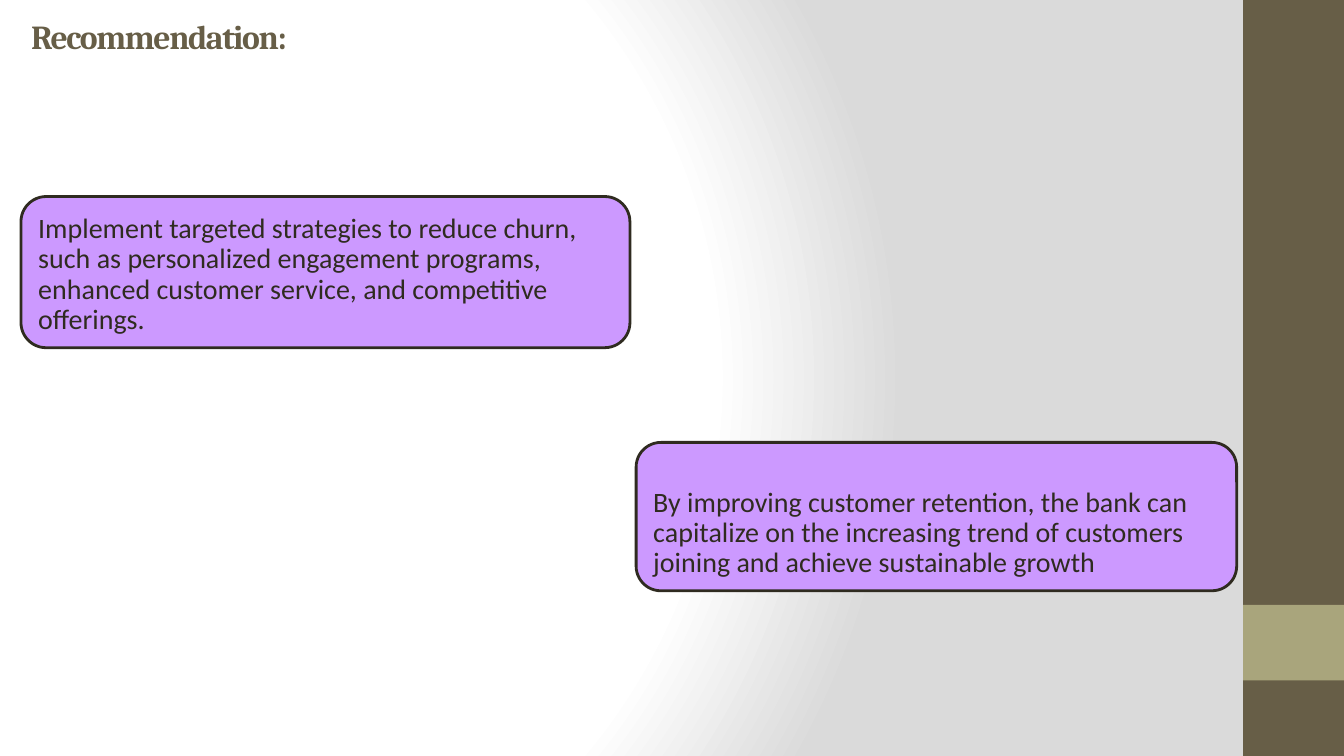
from dataclasses import dataclass

from lxml import etree
from pptx import Presentation
from pptx.dml.color import RGBColor
from pptx.enum.shapes import MSO_SHAPE
from pptx.enum.text import MSO_ANCHOR, MSO_AUTO_SIZE, PP_ALIGN
from pptx.oxml.ns import qn
from pptx.util import Pt

RECT, ROUNDED = MSO_SHAPE.RECTANGLE, MSO_SHAPE.ROUNDED_RECTANGLE
TOP, BOTTOM = MSO_ANCHOR.TOP, MSO_ANCHOR.BOTTOM
LEFT, NO_FIT = PP_ALIGN.LEFT, MSO_AUTO_SIZE.NONE
TITLE_ONLY = 5
WIDTH, HEIGHT = 960, 540
SIDEBAR_WIDTH = 72


@dataclass(frozen=True)
class Theme:
    brown: str = "675E47"
    olive: str = "A9A57C"
    lilac: str = "CC99FF"
    ink: str = "2F2B20"
    glow: tuple = ((0, "FFFFFF"), (75, "FFFFFF"), (100, "DADADA"))
    title_font: str = "Cambria"
    body_font: str = "Calibri"
    title_size: int = 24
    body_size: int = 20


class Deck:
    def __init__(self, slide, theme):
        self.slide, self.theme = slide, theme

    def background(self):
        """Fill the slide with a circular gradient centred left of the middle."""
        self.slide.background.fill.gradient()
        grad = next(self.slide.element.iter(qn("a:gradFill")))
        for child in list(grad):
            grad.remove(child)
        stops = etree.SubElement(grad, qn("a:gsLst"))
        for pos, color in self.theme.glow:
            stop = etree.SubElement(stops, qn("a:gs"), pos=str(pos * 1000))
            etree.SubElement(stop, qn("a:srgbClr"), val=color)
        circle = etree.SubElement(grad, qn("a:path"), path="circle")
        etree.SubElement(circle, qn("a:fillToRect"),
                         l="20000", t="50000", r="100000", b="50000")

    def shape(self, kind, box, fill, line=None):
        sp = self.slide.shapes.add_shape(kind, *map(Pt, box))
        sp.shadow.inherit = False
        sp.fill.solid()
        sp.fill.fore_color.rgb = RGBColor.from_string(fill)
        if line:
            sp.line.color.rgb = RGBColor.from_string(line)
            sp.line.width = Pt(2)
        else:
            sp.line.fill.background()
        return sp

    def put_text(self, sp, text, font, size, color, bold=False):
        """Set one left-aligned paragraph and return its run."""
        tf = sp.text_frame
        tf.text = text
        tf.word_wrap = True
        tf.auto_size = NO_FIT
        p = tf.paragraphs[0]
        p.alignment = LEFT
        p.line_spacing = 0.9
        r = p.runs[0]
        r.font.name, r.font.size, r.font.bold = font, Pt(size), bold
        r.font.color.rgb = RGBColor.from_string(color)
        return r

    def title(self, text, box):
        t, sp = self.theme, self.slide.shapes.title
        sp.left, sp.top, sp.width, sp.height = map(Pt, box)
        r = self.put_text(sp, text, t.title_font, t.title_size, t.brown, True)
        r.font._element.set("spc", "-100")
        tf = sp.text_frame
        tf.paragraphs[0].line_spacing = 1.0
        tf.vertical_anchor = TOP
        tf.margin_top = 0

    def card(self, text, box):
        t = self.theme
        sp = self.shape(ROUNDED, box, t.lilac, t.ink)
        self.put_text(sp, text, t.body_font, t.body_size, t.ink)
        sp.text_frame.vertical_anchor = BOTTOM


def main():
    prs = Presentation()
    prs.slide_width, prs.slide_height = Pt(WIDTH), Pt(HEIGHT)
    theme = Theme()
    deck = Deck(prs.slides.add_slide(prs.slide_layouts[TITLE_ONLY]), theme)

    deck.background()
    sidebar_left = WIDTH - SIDEBAR_WIDTH
    deck.shape(RECT, (sidebar_left, 0, SIDEBAR_WIDTH, HEIGHT), theme.brown)
    deck.shape(RECT, (sidebar_left, 432, SIDEBAR_WIDTH, 54), theme.olive)
    deck.title("Recommendation:", (15, 11, 311, 57))
    deck.card("Implement targeted strategies to reduce churn, such as "
              "personalized engagement programs, enhanced customer service, "
              "and competitive offerings.", (15, 140.4, 435, 108))
    deck.card("By improving customer retention, the bank can capitalize on "
              "the increasing trend of customers joining and achieve "
              "sustainable growth", (454.4, 316, 429, 106))
    prs.save("out.pptx")


if __name__ == "__main__":
    main()
